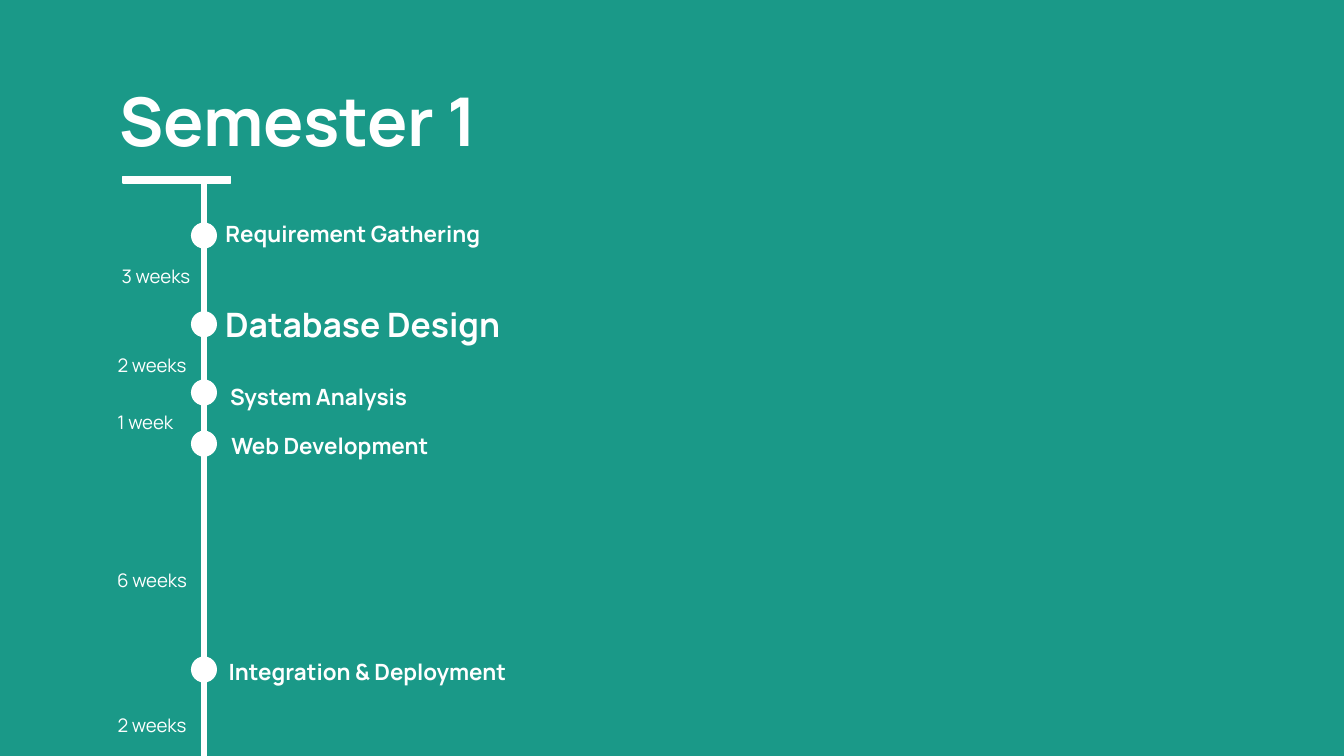
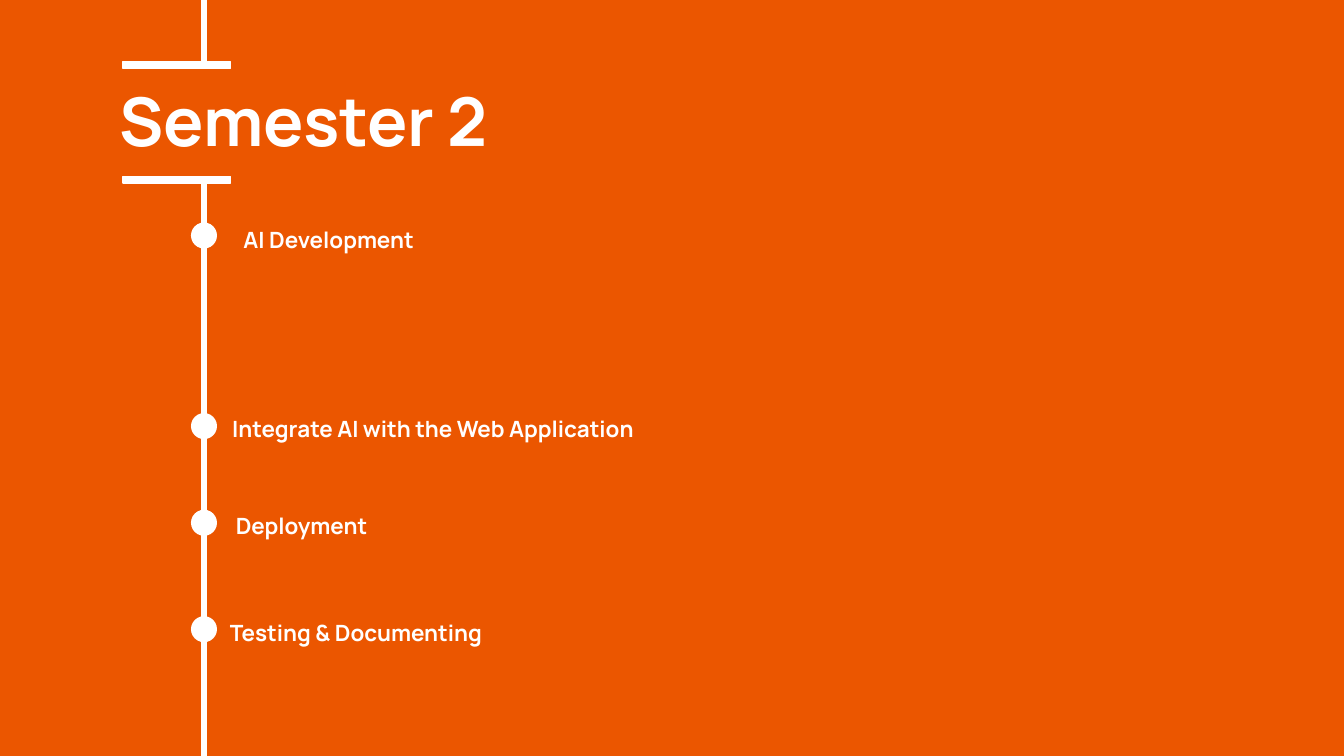
import pptx
import pptx.dml.color
import pptx.enum.shapes
import pptx.enum.text
import pptx.util

Pt = pptx.util.Pt
RGBColor = pptx.dml.color.RGBColor
MSO_SHAPE = pptx.enum.shapes.MSO_SHAPE
ALIGN = pptx.enum.text.PP_ALIGN

TEAL = RGBColor(0x1A, 0x99, 0x88)
ORANGE = RGBColor(0xEB, 0x56, 0x00)
WHITE = RGBColor(0xFF, 0xFF, 0xFF)

WIDTH, HEIGHT = 720, 405
AXIS = 109.3                 # centre of the rail and its dots
RAIL, DOT = 2.5, 13.2        # rail width, dot diameter
BAR_X, BAR_W, BAR_H = 66, 57.6, 3.6
BAR_TOP, BAR_LOW = 33.1, 94.5

FRAME = {
    "word_wrap": True,
    "auto_size": pptx.enum.text.MSO_AUTO_SIZE.NONE,
    "vertical_anchor": pptx.enum.text.MSO_ANCHOR.TOP,
    "margin_left": Pt(7.2), "margin_right": Pt(7.2),
    "margin_top": Pt(7.2), "margin_bottom": Pt(7.2),
}
TITLE = {"name": "Manrope", "size": Pt(36), "bold": True}
STEP = {"name": "Manrope", "size": Pt(12), "bold": True}
KEY = {**STEP, "size": Pt(18)}
WEEKS = {"name": "Manrope", "size": Pt(10), "bold": False}

# Steps: text, dot top, label box (left, top, width, height), font
FIRST = [
    ("Requirement Gathering", 119.6, (110.2, 110.9, 157.7, 31.7), STEP),
    ("Database Design", 167.1, (109.4, 155.5, 169.9, 35.3), KEY),
    ("System Analysis", 203.7, (110.2, 198, 121, 25.9), STEP),
    ("Web Development", 231.1, (97.9, 224.6, 157.7, 25.9), STEP),
    ("Integration & Deployment", 352.1, (97.9, 345.6, 198, 25.9), STEP),
]
SECOND = [
    ("AI Development", 119.6, (110.2, 113.8, 131.8, 31.7), STEP),
    ("Integrate AI with the Web Application ", 221.7,
     (103.7, 215.3, 259.2, 25.9), STEP),
    ("Deployment", 273.5, (97.9, 267.1, 127.4, 25.9), STEP),
    ("Testing & Documenting", 330.5, (108, 324.7, 165.6, 25.9), STEP),
]
# Durations: text, left, top
SPANS = [
    ("3 weeks", 51.1, 134.6),
    ("2 weeks", 49, 182.2),
    ("1 week", 45.4, 213.1),
    ("6 weeks", 49, 297.4),
    ("2 weeks", 49, 375.1),
]


def write(shape, text, font, align):
    frame = shape.text_frame
    for name, value in FRAME.items():
        setattr(frame, name, value)
    line = frame.paragraphs[0]
    line.alignment = align
    run = line.add_run()
    run.text = text
    for name, value in font.items():
        setattr(run.font, name, value)
    run.font.color.rgb = WHITE


def paint(fill, color):
    fill.solid()
    fill.fore_color.rgb = color


def mark(slide, kind, box):
    """Add a white part of the timeline."""
    shape = slide.shapes.add_shape(kind, *map(Pt, box))
    shape.shadow.inherit = False
    paint(shape.fill, WHITE)
    shape.line.color.rgb = WHITE
    shape.line.width = Pt(0.75)


def label(slide, text, box, font, back=None):
    shape = slide.shapes.add_textbox(*map(Pt, box))
    if back is not None:
        paint(shape.fill, back)
    write(shape, text, font, ALIGN.CENTER)


def rail(slide, top, end):
    mark(slide, MSO_SHAPE.RECTANGLE, (AXIS - RAIL / 2, top, RAIL, end - top))


def bar(slide, top):
    mark(slide, MSO_SHAPE.RECTANGLE, (BAR_X, top, BAR_W, BAR_H))


def build(deck, title, back, steps):
    """Add a semester slide with its title, rail and steps."""
    slide = deck.slides.add_slide(deck.slide_layouts[5])
    paint(slide.background.fill, back)
    head = slide.shapes.title
    head.left, head.top, head.width, head.height = map(
        Pt, (56.9, 35.3, 605.5, 50.4))
    write(head, title, TITLE, ALIGN.LEFT)
    for text, _, box, font in steps:
        label(slide, text, box, font, back)
    bar(slide, BAR_LOW)
    rail(slide, BAR_LOW + BAR_H, HEIGHT)
    for _, top, _, _ in steps:
        mark(slide, MSO_SHAPE.OVAL, (AXIS - DOT / 2, top, DOT, DOT))
    return slide


def main():
    deck = pptx.Presentation()
    deck.slide_width, deck.slide_height = Pt(WIDTH), Pt(HEIGHT)

    slide = build(deck, "Semester 1", TEAL, FIRST)
    for text, left, top in SPANS:
        label(slide, text, (left, top, 64.8, 31.7), WEEKS)

    slide = build(deck, "Semester 2", ORANGE, SECOND)
    rail(slide, 0, BAR_TOP)
    bar(slide, BAR_TOP)

    deck.save("out.pptx")


if __name__ == "__main__":
    main()
